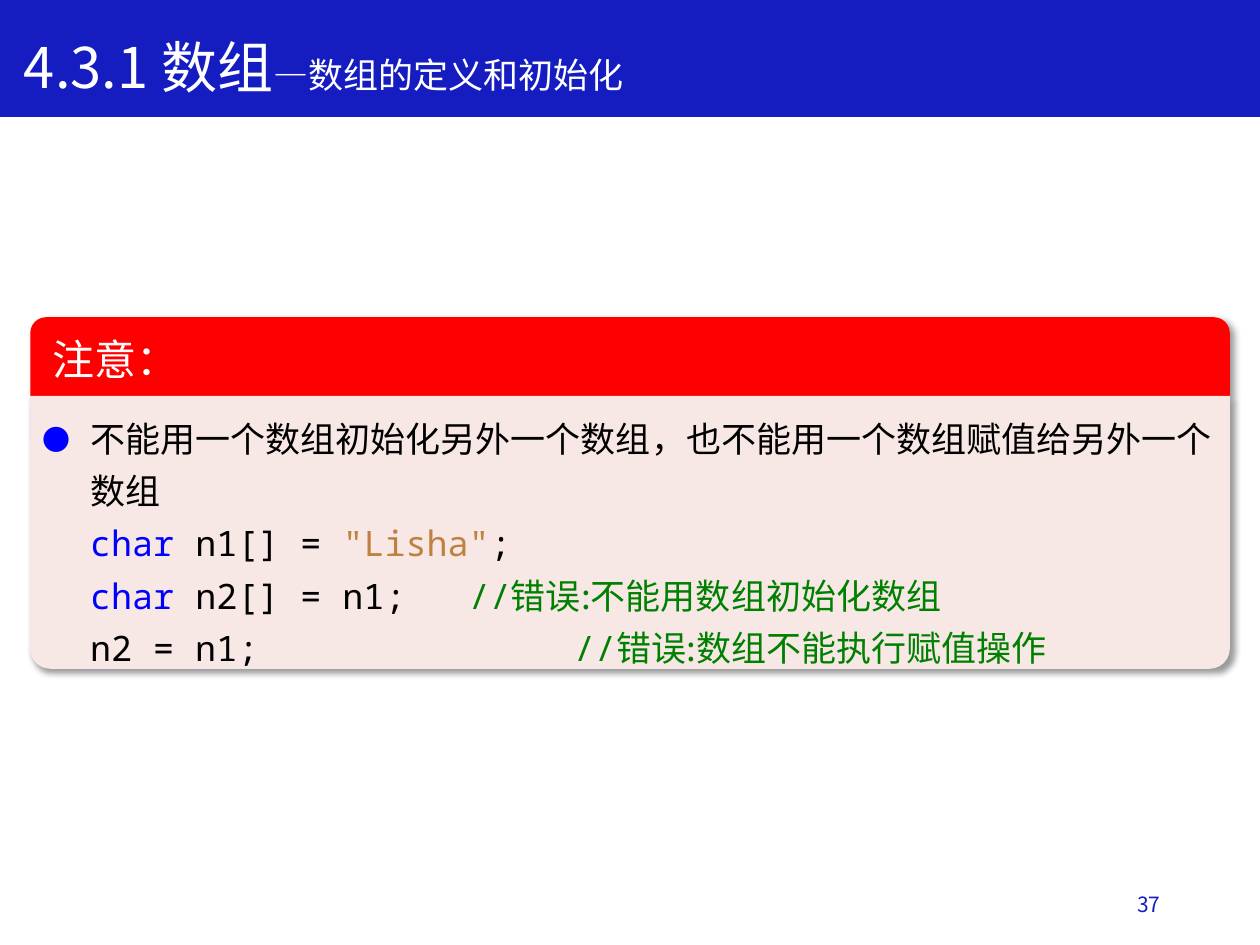
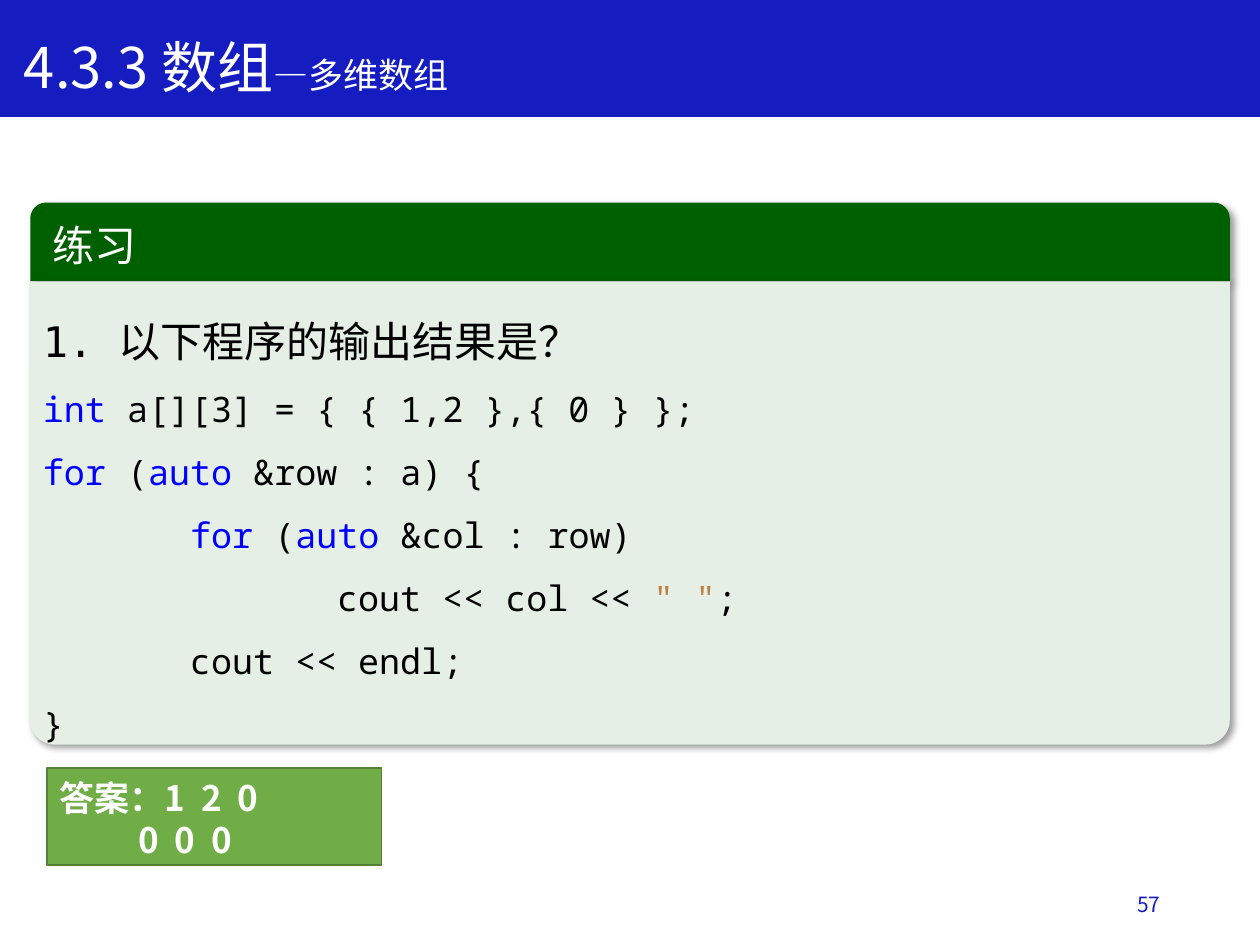
from dataclasses import dataclass
from typing import NamedTuple, Optional

import pptx
import pptx.dml.color
import pptx.enum.shapes
import pptx.enum.text
import pptx.oxml
import pptx.oxml.ns
import pptx.util
from lxml import etree

Pt = pptx.util.Pt
RGBColor = pptx.dml.color.RGBColor
SHAPE = pptx.enum.shapes.MSO_SHAPE
ANCHOR = pptx.enum.text.MSO_ANCHOR
ALIGN = pptx.enum.text.PP_ALIGN
qn = pptx.oxml.ns.qn

# Shared colours and fonts
BAND_BLUE = RGBColor(0x15, 0x1D, 0xC1)
WHITE = RGBColor(0xFF, 0xFF, 0xFF)
BLACK = RGBColor(0, 0, 0)
KEYWORD = RGBColor(0, 0, 0xFF)
STRING = RGBColor(0xBF, 0x80, 0x40)
COMMENT = RGBColor(0, 0x80, 0)
WARNING_RED = RGBColor(0xFF, 0, 0)
WARNING_PALE = RGBColor(0xF7, 0xE7, 0xE5)
EXERCISE_GREEN = RGBColor(0, 0x60, 0)
EXERCISE_PALE = RGBColor(0xE5, 0xEF, 0xE5)
ANSWER_GREEN = RGBColor(0x70, 0xAD, 0x47)
ANSWER_EDGE = RGBColor(0x53, 0x81, 0x35)
SANS = "Noto Sans CJK SC"
MONO = "Noto Sans Mono"
DEJAVU = "DejaVu Sans Mono"

# Shared card geometry, in points
CARD_LEFT, CARD_WIDTH = 17.28, 685.44
HEADER_HEIGHT, HEADER_RADIUS = 45, 9
INSET = 7.2


class Span(NamedTuple):
    text: str
    color: RGBColor = BLACK
    font: str = MONO
    size: float = 20
    bold: bool = False


@dataclass
class Card:
    heading: Span
    top: float
    body_height: float
    radius: float
    header_color: RGBColor
    body_color: RGBColor
    text_inset: float
    line_pitch: float
    bulleted: bool
    spans: list[Span]


@dataclass
class Lesson:
    section: str
    topic: str
    number: str
    card: Card
    answer: Optional[list[str]] = None


def add_spans(para, spans: list[Span]) -> None:
    """Add runs; a newline inside a span becomes a line break."""
    for span in spans:
        for index, piece in enumerate(span.text.split("\n")):
            if index:
                para.add_line_break()
            if not piece:
                continue
            run = para.add_run()
            run.text = piece
            run.font.name = span.font
            run.font.size = Pt(span.size)
            run.font.bold = span.bold
            run.font.color.rgb = span.color
            east_asian = etree.SubElement(run.font._element, qn("a:ea"))
            east_asian.set("typeface", span.font)


def place(shape, left: float, top: float, width: float, height: float) -> None:
    shape.left, shape.top = Pt(left), Pt(top)
    shape.width, shape.height = Pt(width), Pt(height)


def set_frame(shape, top_inset: float = 3.6, left_inset: float = INSET, anchor=ANCHOR.TOP):
    frame = shape.text_frame
    frame.word_wrap = True
    frame.auto_size = pptx.enum.text.MSO_AUTO_SIZE.NONE
    frame.vertical_anchor = anchor
    frame.margin_left, frame.margin_right = Pt(left_inset), Pt(INSET)
    frame.margin_top, frame.margin_bottom = Pt(top_inset), Pt(0 if anchor == ANCHOR.TOP else 3.6)
    return frame


def set_spacing(para, pitch: float, align=ALIGN.LEFT) -> None:
    para.alignment = align
    para.line_spacing = Pt(pitch)
    para.space_before = Pt(0)


def set_indent(para, left: float, first: float = 0) -> None:
    props = para._p.get_or_add_pPr()
    props.set("marL", str(Pt(left)))
    props.set("indent", str(Pt(first)))


def set_bullet(para, bulleted: bool) -> None:
    props = para._p.get_or_add_pPr()
    if not bulleted:
        etree.SubElement(props, qn("a:buNone"))
        return
    color = etree.SubElement(props, qn("a:buClr"))
    etree.SubElement(color, qn("a:srgbClr")).set("val", str(KEYWORD))
    etree.SubElement(props, qn("a:buSzPct")).set("val", "80000")
    etree.SubElement(props, qn("a:buFont")).set("typeface", SANS)
    etree.SubElement(props, qn("a:buChar")).set("char", "●")


def add_panel(page, kind, left: float, top: float, width: float, height: float,
              fill: RGBColor, edge: Optional[RGBColor] = None):
    panel = page.shapes.add_shape(kind, Pt(left), Pt(top), Pt(width), Pt(height))
    panel.shadow.inherit = False
    panel.fill.solid()
    panel.fill.fore_color.rgb = fill
    if edge is None:
        panel.line.fill.background()
    else:
        panel.line.color.rgb = edge
        panel.line.width = Pt(1)
    return panel


def add_shadow(shape) -> None:
    effects = shape._element.spPr.find(qn("a:effectLst"))
    shadow = etree.SubElement(effects, qn("a:outerShdw"), blurRad=str(Pt(4)),
                              dist=str(Pt(3)), dir="2700000", algn="tl", rotWithShape="0")
    color = etree.SubElement(shadow, qn("a:srgbClr"), val=str(BLACK))
    etree.SubElement(color, qn("a:alpha"), val="40000")


def add_rounded(page, top: float, height: float, fill: RGBColor,
                top_radius: float, bottom_radius: float):
    panel = add_panel(page, SHAPE.ROUND_2_SAME_RECTANGLE, CARD_LEFT, top,
                      CARD_WIDTH, height, fill)
    panel.adjustments[0] = top_radius / height
    panel.adjustments[1] = bottom_radius / height
    add_shadow(panel)
    return panel


def add_card(page, card: Card) -> None:
    header = add_rounded(page, card.top, HEADER_HEIGHT, card.header_color, HEADER_RADIUS, 0)
    heading = set_frame(header, left_inset=10, anchor=ANCHOR.MIDDLE).paragraphs[0]
    heading.alignment = ALIGN.LEFT
    add_spans(heading, [card.heading])

    body_top = card.top + HEADER_HEIGHT
    add_rounded(page, body_top, card.body_height, card.body_color, 0, card.radius)

    # The list sits on the lower panel
    body = page.placeholders[1]
    place(body, CARD_LEFT, body_top, CARD_WIDTH, card.body_height)
    para = set_frame(body, top_inset=card.text_inset).paragraphs[0]
    set_bullet(para, card.bulleted)
    hang = 27 if card.bulleted else 0
    set_indent(para, hang, -hang)
    set_spacing(para, card.line_pitch)
    add_spans(para, card.spans)
    page.shapes._spTree.append(body._element)


def add_title(page, lesson: Lesson) -> None:
    add_panel(page, SHAPE.RECTANGLE, 0, 0, 720, 66.24, BAND_BLUE, BAND_BLUE)
    title = page.shapes.title
    place(title, 6.5, 12.25, 428.5, 46)
    para = set_frame(title).paragraphs[0]
    set_spacing(para, 41)
    add_spans(para, [Span(lesson.section, WHITE, SANS, 32),
                     Span("—" + lesson.topic, WHITE, SANS)])
    page.shapes._spTree.append(title._element)


def add_page_number(page, number: str) -> None:
    box = page.shapes.add_textbox(Pt(508.3), Pt(502.5), Pt(162), Pt(28.8))
    para = set_frame(box, anchor=ANCHOR.MIDDLE).paragraphs[0]
    para.alignment = ALIGN.RIGHT
    add_spans(para, [Span(number, BAND_BLUE, SANS, 12)])


def add_answer(page, lines: list[str]) -> None:
    box = add_panel(page, SHAPE.RECTANGLE, 27, 438.7, 191, 55.5, ANSWER_GREEN, ANSWER_EDGE)
    frame = set_frame(box, top_inset=5)
    for index, line in enumerate(lines):
        para = frame.add_paragraph() if index else frame.paragraphs[0]
        set_indent(para, 45 if index else 0)
        set_spacing(para, 24)
        add_spans(para, [Span(line, WHITE, SANS, bold=True)])


LESSONS = [
    Lesson("4.3.1 数组", "数组的定义和初始化", "37", Card(
        heading=Span("注意：", WHITE, MONO, 24), top=181.3, body_height=155.9, radius=11.5,
        header_color=WARNING_RED, body_color=WARNING_PALE,
        text_inset=6, line_pitch=30, bulleted=True, spans=[
            Span("不能用一个数组初始化另外一个数组，也不能用一个数组赋值给另外一个数组\n", font=SANS),
            Span("char ", KEYWORD), Span("n1[] = "), Span('"Lisha"', STRING), Span(";\n"),
            Span("char ", KEYWORD), Span("n2[] = n1;   "), Span("//", COMMENT),
            Span("错误:不能用数组初始化数组\n", COMMENT, SANS),
            Span("n2 = n1;               "), Span("//", COMMENT),
            Span("错误:数组不能执行赋值操作", COMMENT, SANS),
        ])),
    Lesson("4.3.3 数组", "多维数组", "57", Card(
        heading=Span("练习", WHITE, SANS, 24), top=115.8, body_height=264.7, radius=14,
        header_color=EXERCISE_GREEN, body_color=EXERCISE_PALE,
        text_inset=12.5, line_pitch=36, bulleted=False, spans=[
            Span("1. ", font=DEJAVU, size=24),
            Span("以下程序的输出结果是？\n", font=SANS, size=24),
            Span("int ", KEYWORD), Span("a[][3] = { { 1,2 },{ 0 } };\n"),
            Span("for ", KEYWORD), Span("("), Span("auto ", KEYWORD),
            Span("&row : a) {\n       "),
            Span("for ", KEYWORD), Span("("), Span("auto ", KEYWORD),
            Span("&col : row)\n              cout << col << "),
            Span('" "', STRING), Span(";\n       cout << endl;\n}"),
        ]), answer=["答案：1  2  0", "0  0  0"]),
]


def main() -> None:
    deck = pptx.Presentation()
    deck.slide_width, deck.slide_height = Pt(720), Pt(540)
    for lesson in LESSONS:
        page = deck.slides.add_slide(deck.slide_layouts[1])
        add_title(page, lesson)
        add_page_number(page, lesson.number)
        add_card(page, lesson.card)
        if lesson.answer:
            add_answer(page, lesson.answer)
    deck.save("out.pptx")


if __name__ == "__main__":
    main()
